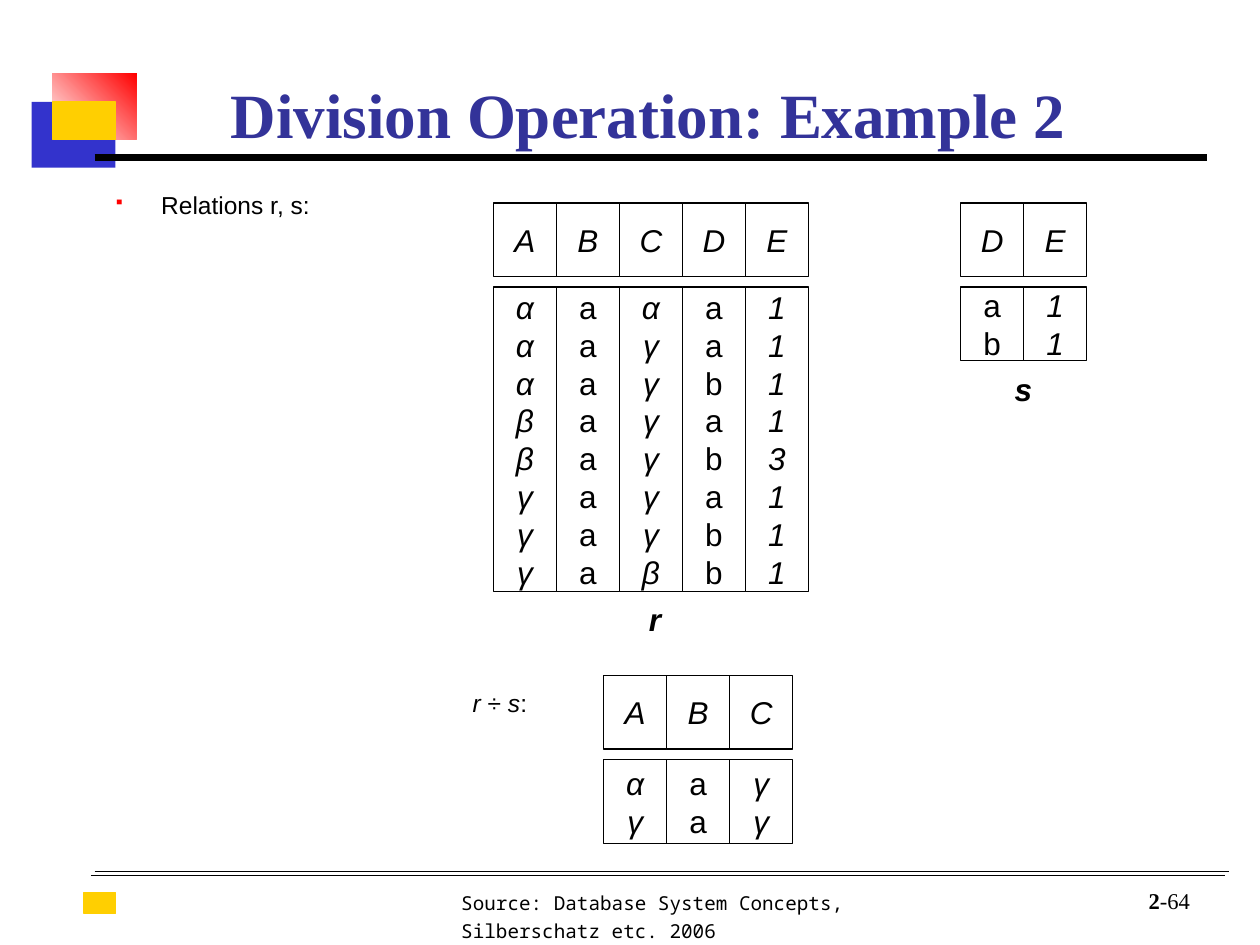
from typing import NamedTuple

from lxml import etree
from pptx import Presentation
from pptx import util as u
from pptx.dml.color import RGBColor
from pptx.enum import shapes, text
from pptx.oxml import ns

Pt = u.Pt
BLACK = RGBColor(0x00, 0x00, 0x00)
WHITE = RGBColor(0xFF, 0xFF, 0xFF)
RED = RGBColor(0xFF, 0x00, 0x00)
BLUE = RGBColor(0x33, 0x33, 0xCC)
NAVY = RGBColor(0x33, 0x33, 0x99)
GOLD = RGBColor(0xFF, 0xCF, 0x01)

SANS, SERIF, MONO = "Arial", "Times New Roman", "Noto Sans Mono"
LEFT, MID, RIGHT = text.PP_ALIGN.LEFT, text.PP_ALIGN.CENTER, text.PP_ALIGN.RIGHT
TOP, CENTRE, BASE = (
    text.MSO_ANCHOR.TOP, text.MSO_ANCHOR.MIDDLE, text.MSO_ANCHOR.BOTTOM)

COL, HEAD, GAP = 36, 42, 6  # column width, header height, gap below header


class Box(NamedTuple):
    x: float
    y: float
    w: float
    h: float


class Run(NamedTuple):
    words: str
    size: float = 18
    font: str = SANS
    bold: bool = False
    slant: bool = False
    tint: RGBColor = BLACK


class Label(NamedTuple):
    box: Box
    runs: list[Run]
    align: text.PP_ALIGN = LEFT
    anchor: text.MSO_ANCHOR = TOP
    pitch: float = 1.0
    wrap: bool = True
    bullet: bool = False


class Table(NamedTuple):
    x: float
    y: float
    body: float
    names: str
    cols: list[str]


class Rule(NamedTuple):
    x: float
    y: float
    w: float
    width: float


def add_run(para, run: Run) -> None:
    part = para.add_run()
    part.text = run.words
    font = part.font
    font.size, font.name = Pt(run.size), run.font
    font.bold, font.italic = run.bold, run.slant
    font.color.rgb = run.tint


def add_rect(parent, box: Box, fill=None, line=None):
    rect = parent.add_shape(shapes.MSO_SHAPE.RECTANGLE, *map(Pt, box))
    rect.shadow.inherit = False
    if fill is not None:
        rect.fill.solid()
        rect.fill.fore_color.rgb = fill
    if line is None:
        rect.line.fill.background()
    else:
        rect.line.color.rgb = line
        rect.line.width = Pt(0.75)
    return rect


def add_rule(parent, rule: Rule) -> None:
    line = parent.add_connector(
        shapes.MSO_CONNECTOR.STRAIGHT,
        Pt(rule.x), Pt(rule.y), Pt(rule.x + rule.w), Pt(rule.y))
    line.line.color.rgb = BLACK
    line.line.width = Pt(rule.width)
    etree.SubElement(line._element.spPr, ns.qn("a:effectLst"))


def add_bullet(para) -> None:
    props = para._p.get_or_add_pPr()
    props.set("marL", str(Pt(27)))
    props.set("indent", str(-Pt(27)))
    tint = etree.SubElement(props, ns.qn("a:buClr"))
    etree.SubElement(tint, ns.qn("a:srgbClr"), val=str(RED))
    etree.SubElement(props, ns.qn("a:buSzPct"), val="60000")
    etree.SubElement(props, ns.qn("a:buChar"), char="▪")


def add_label(parent, label: Label) -> None:
    frame = parent.add_textbox(*map(Pt, label.box)).text_frame
    frame.word_wrap = label.wrap
    frame.vertical_anchor = label.anchor
    para = frame.paragraphs[0]
    if label.bullet:
        add_bullet(para)
    para.alignment = label.align
    para.line_spacing = label.pitch
    for run in label.runs:
        add_run(para, run)


def add_cell(parent, box: Box, items: str) -> None:
    frame = add_rect(parent, box, WHITE, BLACK).text_frame
    frame.word_wrap = False
    frame.vertical_anchor = CENTRE
    for i, item in enumerate(items):
        para = frame.add_paragraph() if i else frame.paragraphs[0]
        para.alignment = MID
        add_run(para, Run(item, slant=item not in "ab"))


def add_table(parent, table: Table) -> None:
    for i, (name, items) in enumerate(zip(table.names, table.cols)):
        x = table.x + i * COL
        add_cell(parent, Box(x, table.y, COL, HEAD), name)
        add_cell(parent, Box(x, table.y + HEAD + GAP, COL, table.body), items)


def add_decor(parent) -> None:
    group = parent.add_group_shape().shapes
    add_rect(group, Box(18, 58.25, 48, 37.5), BLUE)
    fade = add_rect(group, Box(30, 41.75, 48, 37.75)).fill
    fade.gradient()
    fade.gradient_angle = 45
    for stop, tint in zip(fade.gradient_stops, (WHITE, RED)):
        stop.color.rgb = tint
    add_rect(group, Box(30, 58.25, 36, 21.5), GOLD, GOLD)
    add_rect(parent, Box(48, 510, 18, 12), GOLD, GOLD)


RULES = [
    Rule(54, 498, 648, 0.5),
    Rule(54, 90, 636, 4.5),
    Rule(52, 500.25, 648, 0.5),
]

TABLES = [
    Table(282, 116, 174, "ABCDE",
          ["αααββγγγ", "aaaaaaaa", "αγγγγγγβ", "aababab" "b", "11113111"]),
    Table(549, 116, 42, "DE", ["ab", "11"]),
    Table(345, 386, 48, "ABC", ["αγ", "aa", "γγ"]),
]

LABELS = [
    # Footer and page number
    Label(Box(256.5, 503.25, 313, 39),
          [Run("Source: Database System Concepts, Silberschatz etc. 2006",
               11, MONO)], pitch=1.2),
    Label(Box(627, 502, 60, 24),
          [Run("2", 12.9, SERIF, bold=True), Run("-64", 12.9, SERIF)],
          RIGHT, BASE),
    # Captions
    Label(Box(58, 108, 168, 26), [Run("Relations r, s:", 14)],
          pitch=0.8, bullet=True),
    Label(Box(263, 393, 68, 24.5),
          [Run("r ", 14, slant=True), Run("÷ ", 14),
           Run("s", 14, slant=True), Run(":", 14)], pitch=0.8),
    # Relation names
    Label(Box(363.75, 339.25, 21, 29), [Run("r", bold=True, slant=True)],
          MID, CENTRE, wrap=False),
    Label(Box(572.5, 207.5, 24.5, 29), [Run("s", bold=True, slant=True)],
          MID, CENTRE, wrap=False),
    # Title
    Label(Box(84, 36, 573, 54),
          [Run("Division Operation: Example 2", 36, SERIF, bold=True,
               tint=NAVY)], MID, BASE),
]


def main() -> None:
    deck = Presentation()
    deck.slide_width, deck.slide_height = Pt(720), Pt(540)
    parent = deck.slides.add_slide(deck.slide_layouts[6]).shapes
    add_decor(parent)
    for rule in RULES:
        add_rule(parent, rule)
    for table in TABLES:
        add_table(parent, table)
    for label in LABELS:
        add_label(parent, label)
    deck.save("out.pptx")


if __name__ == "__main__":
    main()
